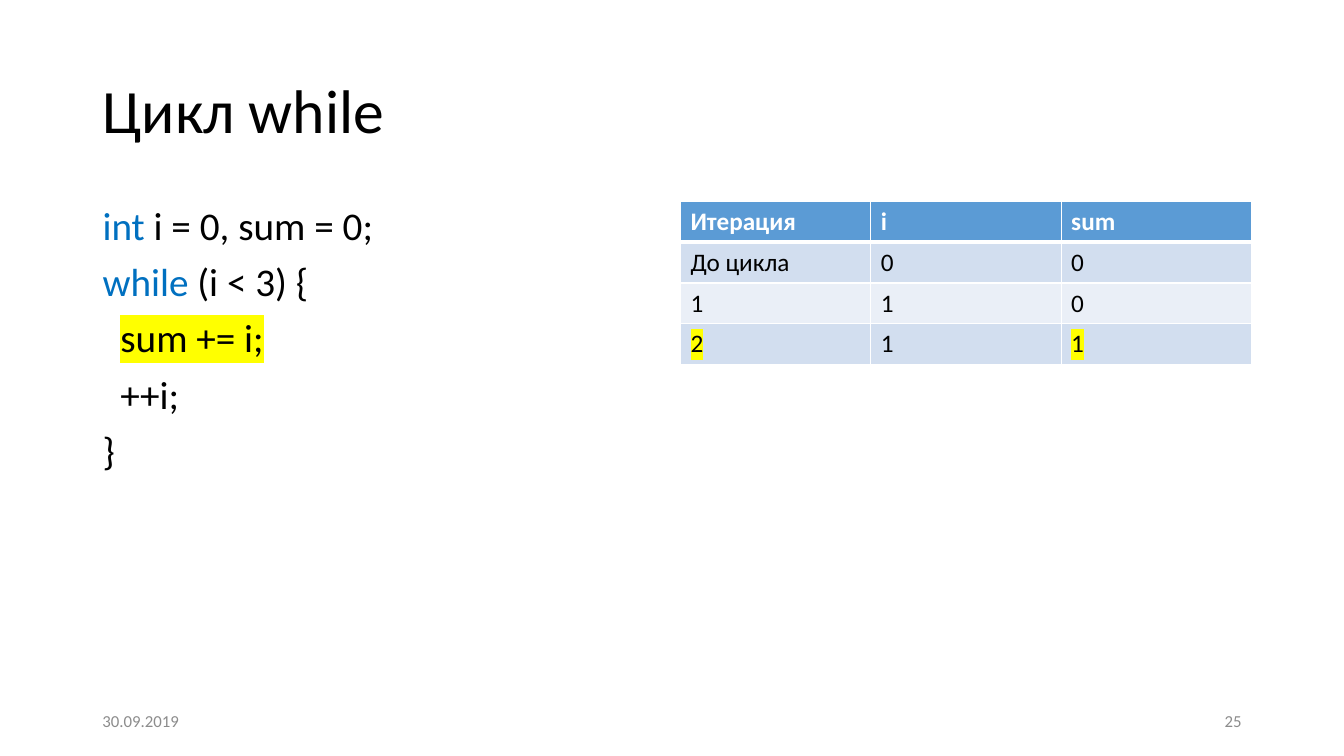
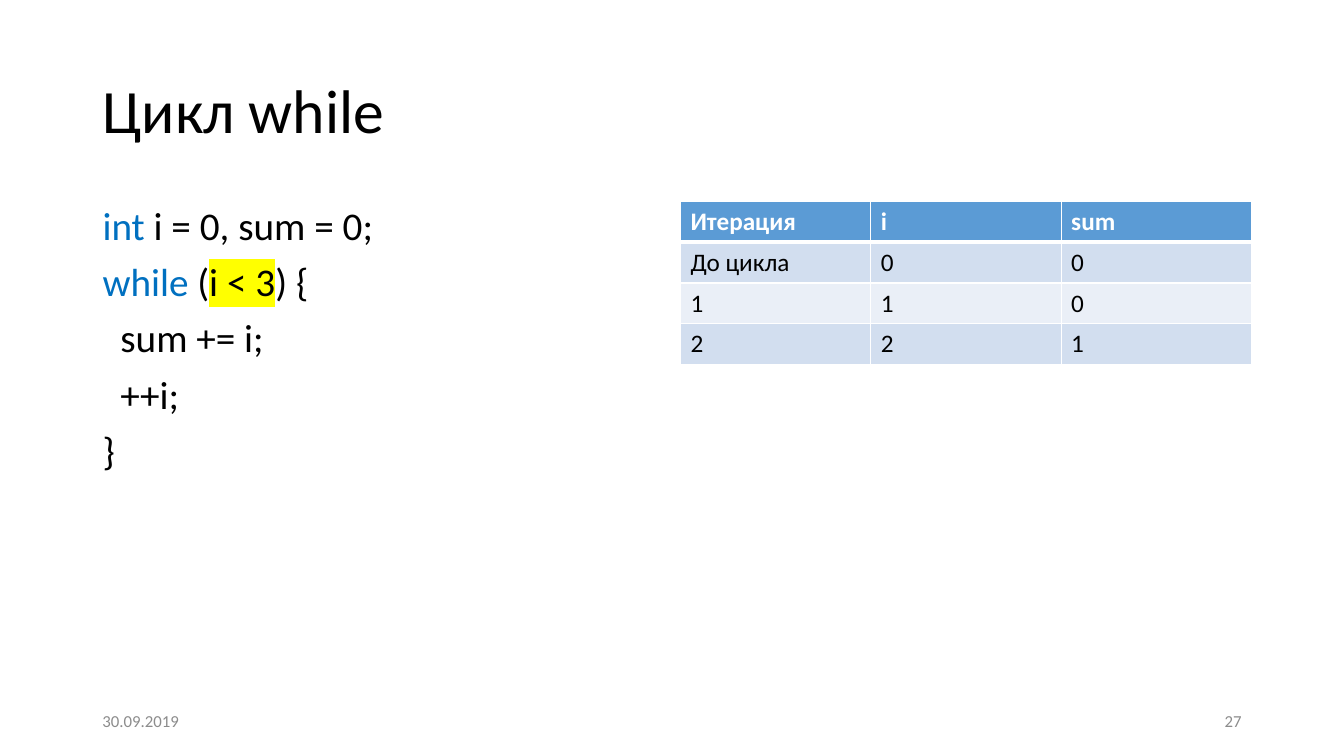
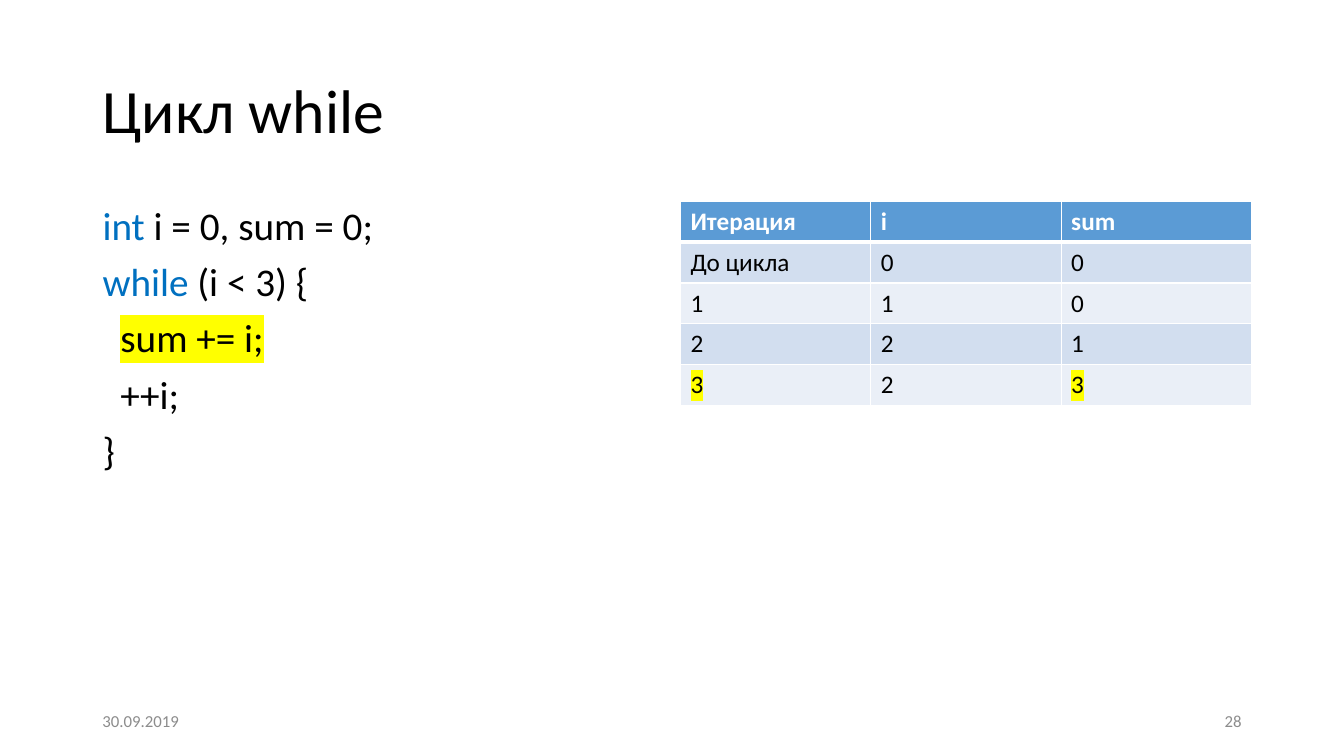
"""Build three slides that trace a while loop step by step."""
from dataclasses import dataclass

from pptx import Presentation
from pptx.dml.color import RGBColor as RGB
from pptx.enum.text import MSO_ANCHOR as Anchor, MSO_AUTO_SIZE as Fit, PP_ALIGN as Align
from pptx.oxml.ns import qn
from pptx.oxml.xmlchemy import OxmlElement as Node
from pptx.util import Cm, Pt

TITLE = "Цикл while"
DATE = "30.09.2019"
CODE = [
    (0, "int", " i = 0, sum = 0;"),
    (0, "while", " (i < 3) {"),
    (1, "", "sum += i;"),
    (1, "", "++i;"),
    (0, "", "}"),
]
HEAD = ("Итерация", "i", "sum")
START = [("До цикла", "0", "0"), ("1", "1", "0")]
SLIDES = [
    ("25", "sum += i;", [("2", "1", "1")], (0, 2)),
    ("27", "i < 3", [("2", "2", "1")], ()),
    ("28", "sum += i;", [("2", "2", "1"), ("3", "2", "3")], (0, 2)),
]


@dataclass(frozen=True)
class Theme:
    """Colours, font and type sizes of the deck."""
    font: str = "Calibri"
    ink: str = "000000"
    white: str = "FFFFFF"
    key: str = "0070C0"
    mark: str = "FFFF00"
    grey: str = "8C8C8C"
    head: str = "5B9BD5"
    bands: tuple = ("D2DEEF", "EAEFF7")
    title: int = 44
    code: int = 28
    cell: int = 18
    foot: int = 12
    thin: int = 1
    thick: int = 3


T = Theme()
LEFT, WIDE = Cm(2.33), Cm(29.21)
TOP, HALF = Cm(5.07), Cm(14.39)
ROW, TAB = Cm(1.03), Cm(0.45)
NOTE = Cm(7.62)


def style(para, size, color, bold=False):
    """Set the font of a whole paragraph."""
    font = para.font
    font.name, font.size, font.bold = T.font, Pt(size), bold
    font.color.rgb = RGB.from_string(color)


def add_run(para, text, color, mark=False):
    """Add a run, highlighted if marked."""
    run = para.add_run()
    run.text = text
    run.font.color.rgb = RGB.from_string(color)
    if mark:
        light, tint = Node("a:highlight"), Node("a:srgbClr")
        tint.set("val", T.mark)
        light.append(tint)
        run.font.fill
        run.font._rPr.find(qn("a:solidFill")).addnext(light)


def place(shape, left, top, width, height):
    """Move and size a shape."""
    shape.left, shape.top, shape.width, shape.height = left, top, width, height


def add_title(slide):
    """Fill the title placeholder."""
    frame = slide.shapes.title.text_frame
    frame.text = TITLE
    frame.auto_size, frame.vertical_anchor = Fit.NONE, Anchor.MIDDLE
    para = frame.paragraphs[0]
    para.alignment, para.line_spacing = Align.LEFT, 0.9
    style(para, T.title, T.ink)


def add_code(slide, mark):
    """Write the listing and highlight the active part."""
    frame = slide.placeholders[1].text_frame
    frame.auto_size, frame.vertical_anchor = Fit.NONE, Anchor.TOP
    for num, (level, word, rest) in enumerate(CODE):
        para = frame.add_paragraph() if num else frame.paragraphs[0]
        para.line_spacing, para.space_before = 0.9, Pt(10)
        style(para, T.code, T.ink)
        props = para._p.get_or_add_pPr()
        props.set("marL", str(level * TAB))
        props.set("indent", "0")
        props.find(qn("a:defRPr")).addprevious(Node("a:buNone"))
        before, hit, after = rest.partition(mark)
        parts = [(word, T.key), (before, T.ink), (hit, T.ink), (after, T.ink)]
        for spot, (text, color) in enumerate(parts):
            if text:
                add_run(para, text, color, spot == 2)


def add_edges(cell, row):
    """Draw white borders, thick below the header."""
    props = cell._tc.get_or_add_tcPr()
    wide = {"T": row == 1, "B": row == 0}
    for spot, side in enumerate("LRTB"):
        line, fill, tint = Node(f"a:ln{side}"), Node("a:solidFill"), Node("a:srgbClr")
        line.set("w", str(Pt(T.thick if wide.get(side) else T.thin)))
        tint.set("val", T.white)
        fill.append(tint)
        line.append(fill)
        props.insert(spot, line)


def add_trace(slide, steps, marks):
    """Add the table of values with marks in its last row."""
    rows = [HEAD, *START, *steps]
    table = slide.shapes.add_table(
        len(rows), len(HEAD), LEFT + WIDE - HALF, TOP, HALF, ROW * len(rows)).table
    for r, row in enumerate(rows):
        color = T.ink if r else T.white
        for c, text in enumerate(row):
            cell = table.cell(r, c)
            cell.fill.solid()
            cell.fill.fore_color.rgb = RGB.from_string(T.bands[(r - 1) % 2] if r else T.head)
            para = cell.text_frame.paragraphs[0]
            style(para, T.cell, color, r == 0)
            add_run(para, text, color, r == len(rows) - 1 and c in marks)
            add_edges(cell, r)


def add_foot(slide, text, left, align):
    """Add one footer note."""
    frame = slide.shapes.add_textbox(left, Cm(17.65), NOTE, Cm(1.01)).text_frame
    frame.word_wrap, frame.vertical_anchor = True, Anchor.MIDDLE
    para = frame.paragraphs[0]
    para.text, para.alignment = text, align
    style(para, T.foot, T.grey)


deck = Presentation()
deck.slide_width, deck.slide_height = Cm(33.87), Cm(19.05)
layout = deck.slide_layouts[1]
title, body = list(layout.placeholders)[:2]
place(title, LEFT, Cm(1.01), WIDE, Cm(3.68))
place(body, LEFT, TOP, HALF, Cm(12.09))
for page, mark, steps, marks in SLIDES:
    slide = deck.slides.add_slide(layout)
    add_title(slide)
    add_code(slide, mark)
    add_trace(slide, steps, marks)
    add_foot(slide, DATE, LEFT, Align.LEFT)
    add_foot(slide, page, LEFT + WIDE - NOTE, Align.RIGHT)
deck.save("out.pptx")
